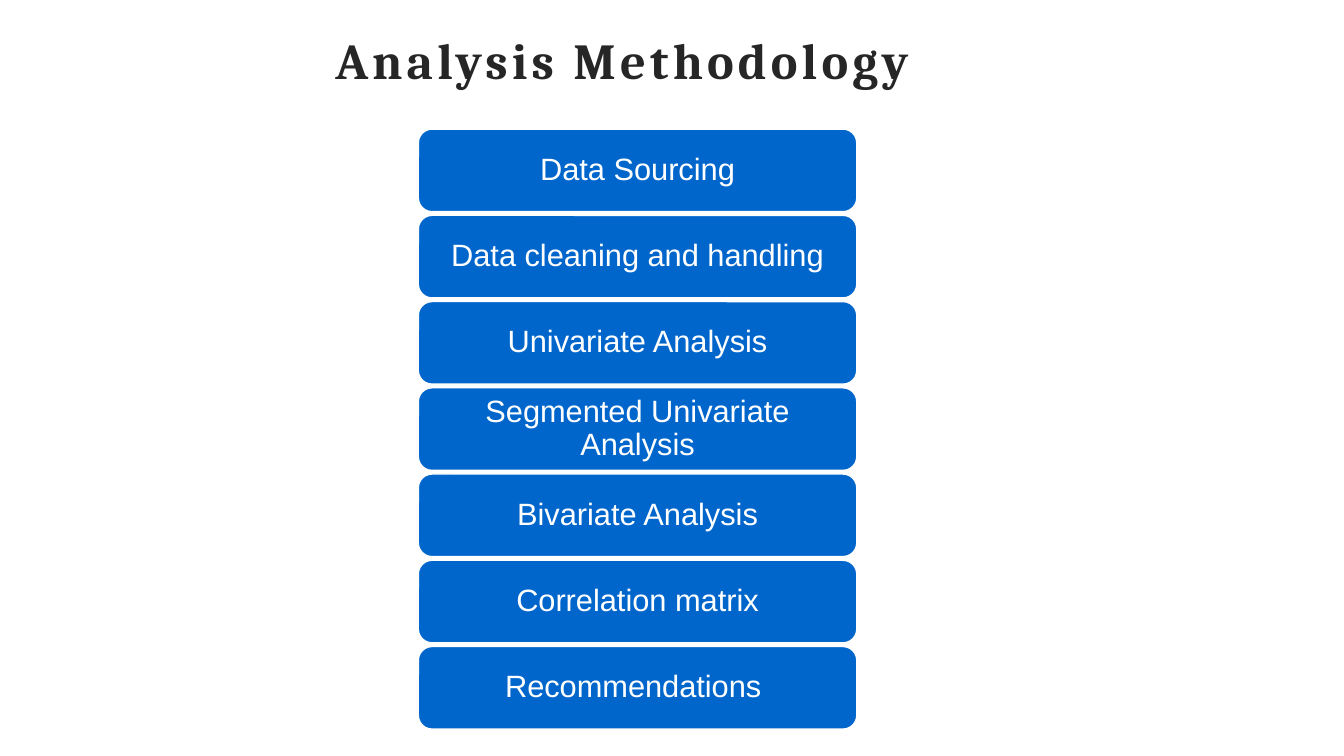
from pptx import Presentation
from pptx.dml.color import RGBColor
from pptx.enum import shapes, text
from pptx.util import Pt

STEPS = [
    "Data Sourcing",
    "Data cleaning and handling",
    "Univariate Analysis",
    "Segmented Univariate Analysis",
    "Bivariate Analysis",
    "Correlation matrix",
    "Recommendations ",
]
STEP_LEFT, STEP_TOP, STEP_WIDTH, STEP_HEIGHT = 298.8, 92.2, 313.2, 59
STEP_PITCH = 61.6


def rgb(color):
    return RGBColor.from_string(color)


def write(sp, content, *, size, font, color, bold=False, tracking=0,
          line_spacing=1.0, margins=(6.5, 3.6, 6.5, 3.6)):
    """Fill a shape with one centred paragraph; tracking is in points."""
    tf = sp.text_frame
    tf.word_wrap = True
    tf.auto_size = text.MSO_AUTO_SIZE.NONE
    tf.vertical_anchor = text.MSO_ANCHOR.MIDDLE
    (tf.margin_left, tf.margin_top,
     tf.margin_right, tf.margin_bottom) = map(Pt, margins)
    p = tf.paragraphs[0]
    p.alignment = text.PP_ALIGN.CENTER
    p.line_spacing = line_spacing
    r = p.add_run()
    r.text = content
    r.font.size = Pt(size)
    r.font.name = font
    r.font.bold = bold
    r.font.color.rgb = rgb(color)
    if tracking:
        r.font._element.set("spc", str(tracking * 100))


def add_title(s, content):
    sp = s.shapes.title
    sp.left, sp.top, sp.width, sp.height = map(Pt, (11.5, 14.4, 864, 55.4))
    write(sp, content, size=36, font="Cambria", color="262626", bold=True,
          tracking=3, margins=(7.9, 2.9, 5.8, 2.9))


def add_step(s, content, top):
    sp = s.shapes.add_shape(
        shapes.MSO_SHAPE.ROUNDED_RECTANGLE,
        *map(Pt, (STEP_LEFT, top, STEP_WIDTH, STEP_HEIGHT)))
    sp.shadow.inherit = False
    sp.fill.solid()
    sp.fill.fore_color.rgb = rgb("0066CC")
    sp.line.color.rgb = rgb("FFFFFF")
    sp.line.width = Pt(1)
    write(sp, content, size=22, font="Arial", color="FFFFFF", line_spacing=0.9)


def main():
    prs = Presentation()
    prs.slide_width, prs.slide_height = Pt(960), Pt(540)
    s = prs.slides.add_slide(prs.slide_layouts.get_by_name("Title Only"))
    add_title(s, "Analysis Methodology")
    for i, step in enumerate(STEPS):
        add_step(s, step, STEP_TOP + i * STEP_PITCH)
    prs.save("out.pptx")


if __name__ == "__main__":
    main()
